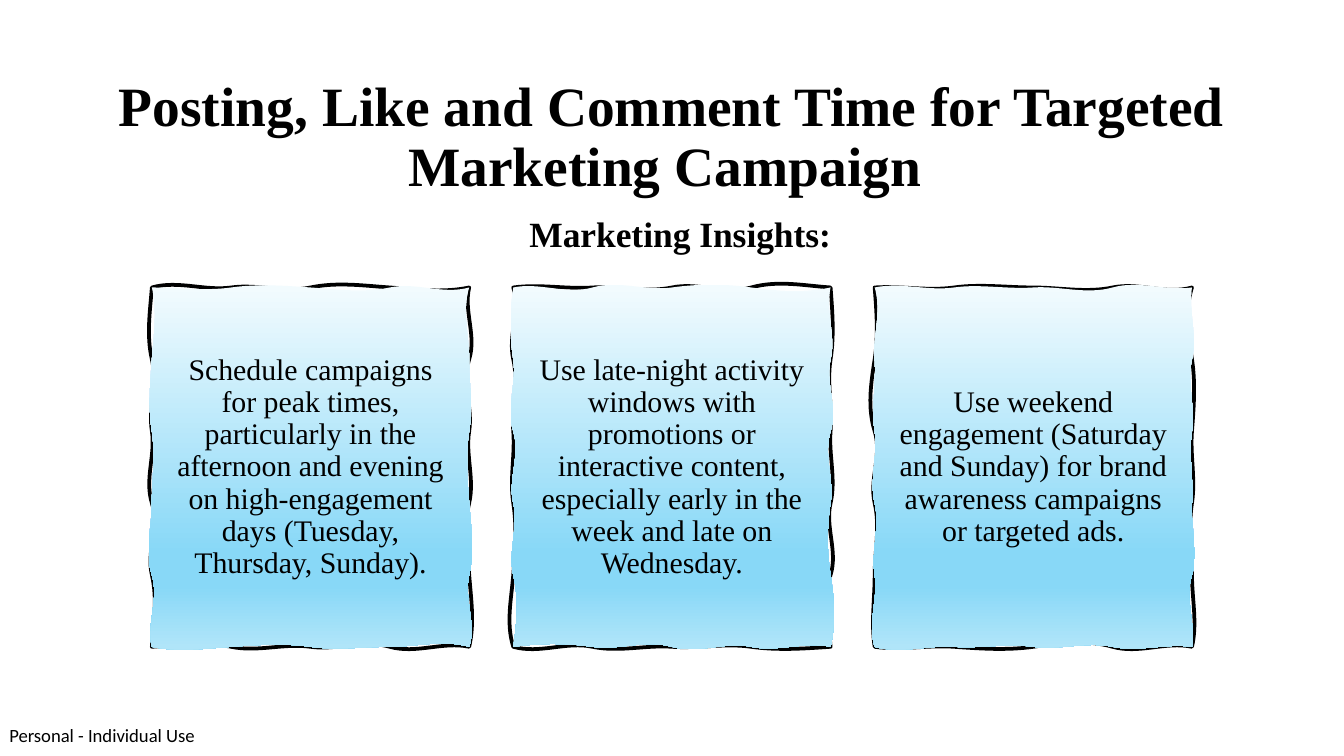
"""Build a slide with a heading and three hand-drawn marketing insight cards."""
from itertools import cycle, pairwise

from lxml import etree
from pptx import Presentation
from pptx.dml.color import RGBColor
from pptx.enum.text import MSO_ANCHOR, PP_ALIGN
from pptx.oxml.ns import qn
from pptx.util import Pt

LEFT, CENTER = PP_ALIGN.LEFT, PP_ALIGN.CENTER
MIDDLE = MSO_ANCHOR.MIDDLE
SERIF = "Times New Roman"
CARD_LEFT, CARD_TOP, CARD_W, CARD_H, CARD_STEP = 81.36, 154, 170, 192.5, 193.6
CORNERS = [(0, 0), (CARD_W, 0), (CARD_W, CARD_H), (0, CARD_H), (0, 0)]
EDGE_CURVES = (4, 5, 4, 5)
STOPS = [(0, "F2FBFE"), (74, "88D8F7"), (83, "88D8F7"), (100, "B0E5F9")]
CARDS = [
    ("Schedule campaigns for peak times, particularly in the afternoon and evening "
     "on high-engagement days (Tuesday, Thursday, Sunday).",
     (4, 2, 3, -1, 3), (0, 2, -1, 3, 4)),
    ("Use late-night activity windows with promotions or interactive content, "
     "especially early in the week and late on Wednesday.",
     (2, 1, 3, 4, -1), (3, 4, 2, -2, 3)),
    ("Use weekend engagement (Saturday and Sunday) for brand awareness campaigns "
     "or targeted ads.",
     (1, 2, 0, 3, 4, -2), (3, 2, 1, 4, 2)),
]


def write(shape, text, font, size, bold, align, spacing, insets):
    tf = shape.text_frame
    tf.word_wrap = True
    tf.margin_left, tf.margin_top, tf.margin_right, tf.margin_bottom = map(Pt, insets)
    p = tf.paragraphs[0]
    p.text = text
    p.alignment = align
    p.line_spacing = spacing
    p.font.name, p.font.size, p.font.bold = font, Pt(size), bold
    p.font.color.rgb = RGBColor.from_string("000000")


def add_wavy_path(path_list, swings, **attrs):
    path = etree.SubElement(path_list, qn("a:path"), w=str(Pt(CARD_W)), h=str(Pt(CARD_H)), **attrs)
    start = etree.SubElement(path, qn("a:moveTo"))
    etree.SubElement(start, qn("a:pt"), x="0", y="0")
    pairs = pairwise(cycle(swings))
    for ((x0, y0), (x1, y1)), count in zip(pairwise(CORNERS), EDGE_CURVES):
        for n in range(count):
            before, after = next(pairs)
            curve = etree.SubElement(path, qn("a:cubicBezTo"))
            for along, shift in ((1 / 3, -before), (2 / 3, after), (1, 0)):
                t = (n + along) / count
                x = x0 + (x1 - x0) * t + (shift if x0 == x1 else 0)
                y = y0 + (y1 - y0) * t + (shift if y0 == y1 else 0)
                etree.SubElement(curve, qn("a:pt"), x=str(Pt(x)), y=str(Pt(y)))
    etree.SubElement(path, qn("a:close"))


prs = Presentation()
prs.slide_width, prs.slide_height = Pt(720), Pt(405)
s = prs.slides.add_slide(prs.slide_layouts[6])

TEXTS = [
    ("Personal - Individual Use", (5, 388, 101.5, 12.2), "Calibri", 10, False, LEFT, 1,
     (0, 0, 0, 0)),
    ("Posting, Like and Comment Time for Targeted Marketing Campaign ",
     (24.5, 34.9, 671, 45.4), SERIF, 29.7, True, CENTER, 0.9, (7.2, 7.2, 7.2, 7.2)),
    ("Marketing Insights:", (24.5, 109.1, 671, 45.4), SERIF, 19, True, CENTER, 0.9,
     (16, 7.2, 7.2, 7.2)),
]
for text, box, *style in TEXTS:
    write(s.shapes.add_textbox(*map(Pt, box)), text, *style)

for i, (text, border_swings, body_swings) in enumerate(CARDS):
    x = CARD_LEFT + i * CARD_STEP
    points = [(Pt(x + dx), Pt(CARD_TOP + dy)) for dx, dy in CORNERS]
    builder = s.shapes.build_freeform(*points[0])
    builder.add_line_segments(points[1:])
    sp = builder.convert_to_shape()
    sp.shadow.inherit = False

    path_list = next(sp._element.iter(qn("a:pathLst")))
    del path_list[:]
    add_wavy_path(path_list, border_swings, fill="none")
    add_wavy_path(path_list, body_swings, stroke="0")

    sp.fill.gradient()
    sp.fill.gradient_angle = 270
    stops = next(sp._element.iter(qn("a:gsLst")))
    del stops[:]
    for pos, color in STOPS:
        stop = etree.SubElement(stops, qn("a:gs"), pos=str(pos * 1000))
        etree.SubElement(stop, qn("a:srgbClr"), val=color)
    sp.line.color.rgb = RGBColor.from_string("000000")
    sp.line.width = Pt(2)

    write(sp, text, SERIF, 16, False, CENTER, 0.9, (8.64, 5, 8.64, 5))
    sp.text_frame.vertical_anchor = MIDDLE

prs.save("out.pptx")
